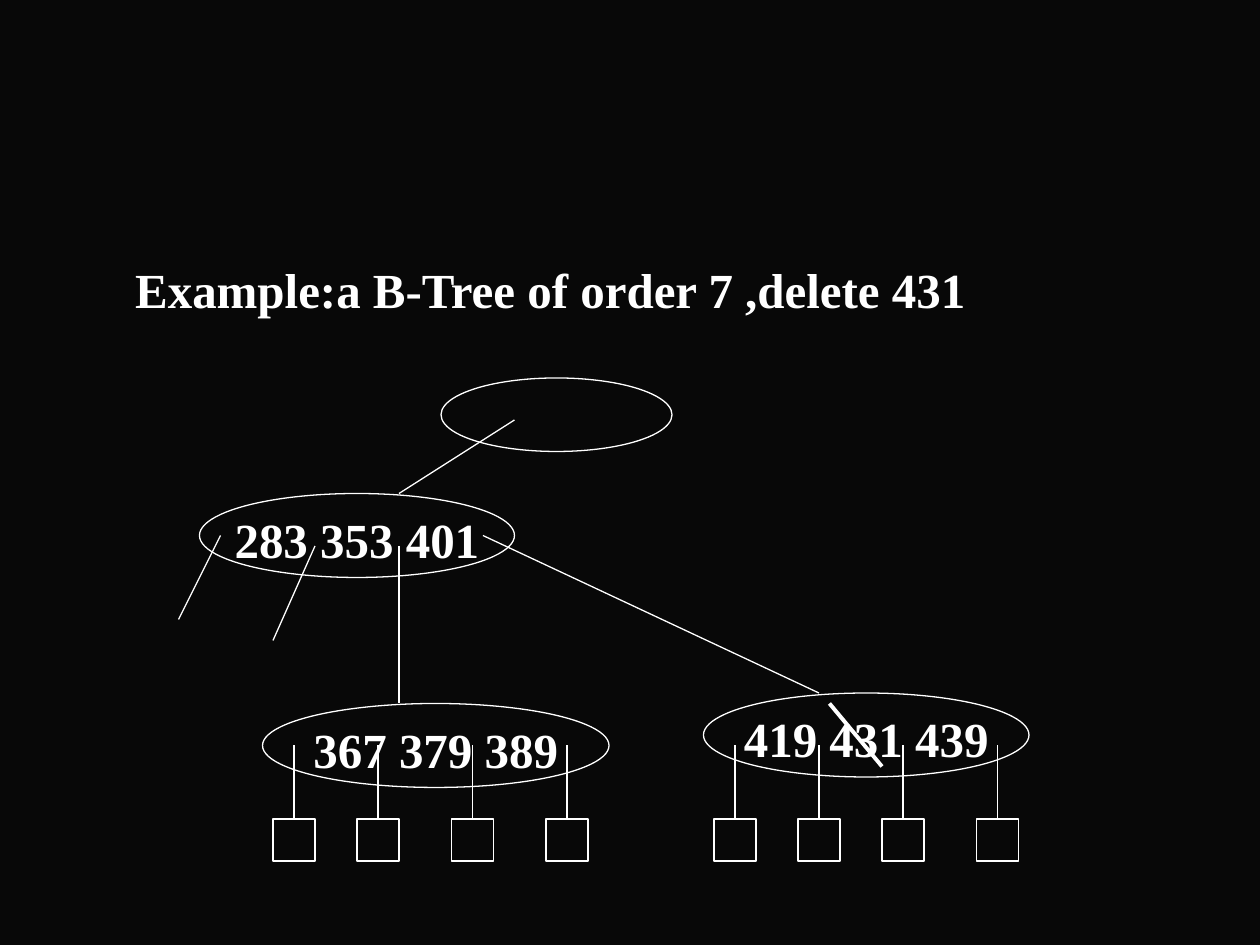
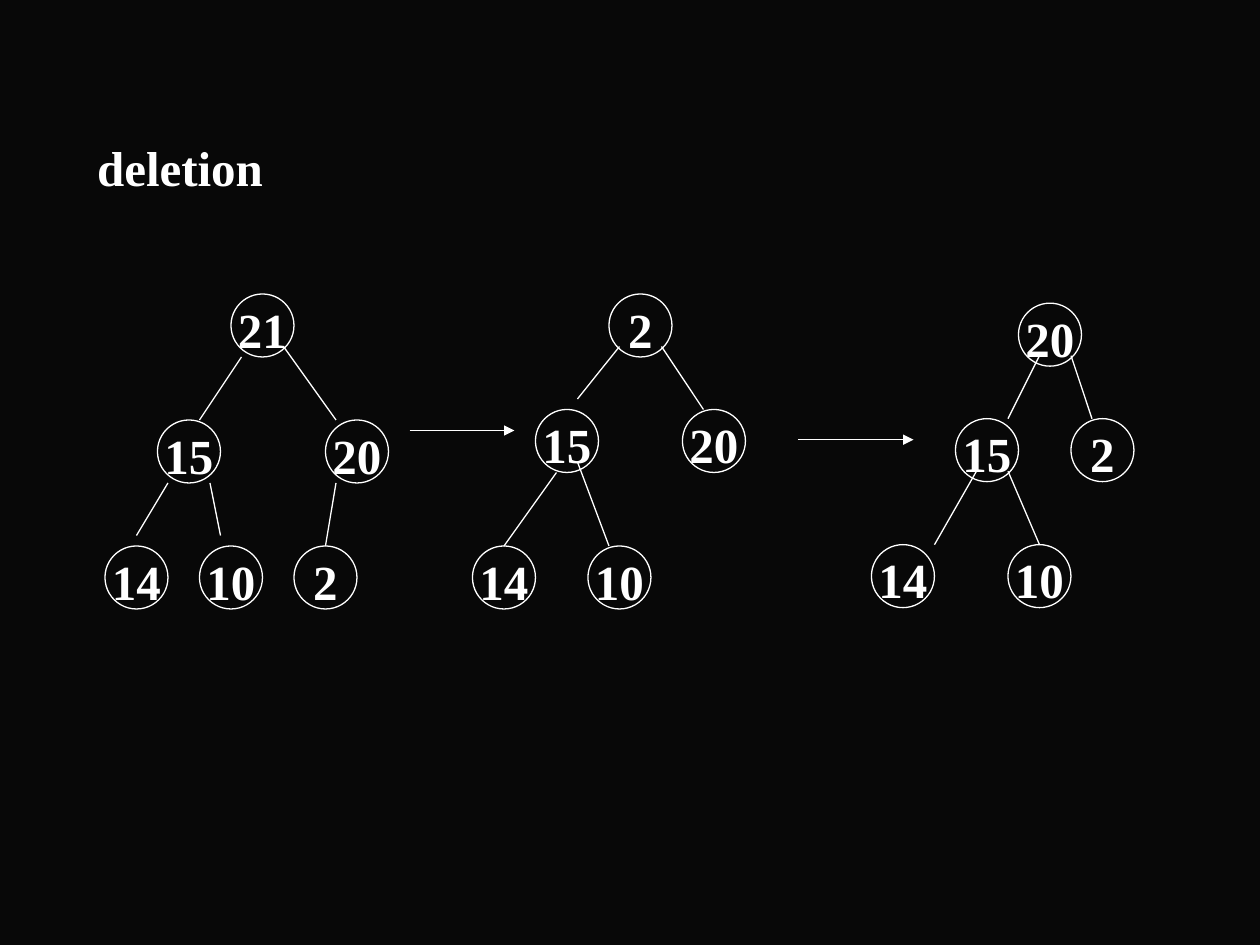
from dataclasses import dataclass

import pptx
import pptx.dml.color
import pptx.enum.shapes
import pptx.enum.text
import pptx.oxml
import pptx.oxml.ns
import pptx.util

PX = 9525
SHAPE = pptx.enum.shapes.MSO_SHAPE
ALIGN = pptx.enum.text.PP_ALIGN
ANCHOR = pptx.enum.text.MSO_ANCHOR


@dataclass(frozen=True)
class Theme:
    background = pptx.dml.color.RGBColor(0x08, 0x08, 0x08)
    ink = pptx.dml.color.RGBColor(0xFF, 0xFF, 0xFF)
    font = "Times New Roman"
    text_size = 28
    line_width = 0.75
    strike_width = 2.25


@dataclass(frozen=True)
class Box:
    left: int
    top: int
    width: int
    height: int

    def inner(self, left, top, width, height):
        return Box(self.left + left, self.top + top, width, height)

    def point(self, position):
        return self.left + position[0], self.top + position[1]

    def emu(self):
        return [length * PX for length in (self.left, self.top, self.width, self.height)]


THEME = Theme()


def write_text(shape, text, align=ALIGN.CENTER, anchor=ANCHOR.MIDDLE, wrap=False,
               inset_left=10, inset_top=10):
    frame = shape.text_frame
    frame.auto_size = pptx.enum.text.MSO_AUTO_SIZE.NONE
    frame.word_wrap = wrap
    frame.vertical_anchor = anchor
    frame.margin_left, frame.margin_right = inset_left * PX, 10 * PX
    frame.margin_top, frame.margin_bottom = inset_top * PX, 5 * PX
    paragraph = frame.paragraphs[0]
    paragraph.alignment = align
    run = paragraph.add_run()
    run.text = text
    run.font.name = THEME.font
    run.font.size = pptx.util.Pt(THEME.text_size)
    run.font.bold = True
    run.font.color.rgb = THEME.ink


def add_outline(shapes, kind, box, text=""):
    shape = shapes.add_shape(kind, *box.emu())
    shape.shadow.inherit = False
    shape.fill.background()
    shape.line.color.rgb = THEME.ink
    shape.line.width = pptx.util.Pt(THEME.line_width)
    if text:
        write_text(shape, text)
    return shape


def add_line(shapes, start, end, width=THEME.line_width, arrow=False):
    connector = shapes.add_connector(
        pptx.enum.shapes.MSO_CONNECTOR.STRAIGHT,
        *[length * PX for length in (*start, *end)])
    connector.line.color.rgb = THEME.ink
    connector.line.width = pptx.util.Pt(width)
    properties = connector._element.spPr
    if arrow:
        head = pptx.oxml.parse_xml(
            f'<a:tailEnd {pptx.oxml.ns.nsdecls("a")} type="triangle"/>')
        connector.line._get_or_add_ln().append(head)
    properties.append(pptx.oxml.parse_xml(
        f'<a:effectLst {pptx.oxml.ns.nsdecls("a")}/>'))
    return connector


def add_titled_slide(presentation, text, box, **text_format):
    slide = presentation.slides.add_slide(presentation.slide_layouts[5])
    title = slide.shapes.title
    title.left, title.top, title.width, title.height = box.emu()
    write_text(title, text, align=ALIGN.LEFT, anchor=ANCHOR.TOP, wrap=True, **text_format)
    return slide


def add_leaves(shapes, node, stem_top, leaf_top, centers, size=32):
    for center in centers:
        leaf = add_outline(shapes, SHAPE.RECTANGLE,
                           node.inner(center - size // 2, leaf_top, size, size))
        stem = add_line(shapes, node.point((center, stem_top)),
                        node.point((center, leaf_top)))
        stem.end_connect(leaf, 0)


def add_b_tree(slide, box):
    shapes = slide.shapes.add_group_shape().shapes
    left_child = box.inner(64, 248, 264, 64)
    right_child = box.inner(400, 240, 248, 64)
    nodes = [
        (box.inner(200, 0, 176, 56), ""),
        (box.inner(16, 88, 240, 64), "283 353 401"),
        (left_child, "367 379 389"),
        (right_child, "419 431 439"),
    ]
    branches = [
        ((256, 32), (168, 88)),
        ((32, 120), (0, 184)),
        ((104, 128), (72, 200)),
        ((168, 128), (168, 248)),
        ((232, 120), (488, 240)),
    ]
    for node, keys in nodes:
        add_outline(shapes, SHAPE.OVAL, node, keys)
    for start, end in branches:
        add_line(shapes, box.point(start), box.point(end))
    add_leaves(shapes, left_child, 32, 88, (24, 88, 160, 232))
    add_leaves(shapes, right_child, 40, 96, (24, 88, 152, 224))
    add_line(shapes, box.point((496, 248)), box.point((536, 296)),
             width=THEME.strike_width)


def add_heap(slide, box, nodes, edges, diameter=48):
    shapes = slide.shapes.add_group_shape().shapes
    for key, left, top in nodes:
        add_outline(shapes, SHAPE.OVAL, box.inner(left, top, diameter, diameter), key)
    for start, end in edges:
        add_line(shapes, box.point(start), box.point(end))


def build_b_tree_slide(presentation):
    slide = add_titled_slide(
        presentation, "Example:a B-Tree of order 7 ,delete 431",
        Box(72, 184, 816, 480), inset_left=31, inset_top=14)
    add_b_tree(slide, Box(136, 288, 648, 368))


def build_heap_slide(presentation):
    slide = add_titled_slide(presentation, "deletion", Box(64, 95, 816, 432))
    add_heap(
        slide, Box(80, 224, 216, 240),
        [("21", 96, 0), ("15", 40, 96), ("20", 168, 96),
         ("14", 0, 192), ("10", 72, 192), ("2", 144, 192)],
        [((104, 48), (72, 96)), ((136, 40), (176, 96)), ((48, 144), (24, 184)),
         ((80, 144), (88, 184)), ((176, 144), (168, 192))])
    add_heap(
        slide, Box(360, 224, 208, 240),
        [("2", 104, 0), ("15", 48, 88), ("20", 160, 88),
         ("14", 0, 192), ("10", 88, 192)],
        [((112, 40), (80, 80)), ((144, 40), (176, 88)),
         ((64, 136), (24, 192)), ((80, 128), (104, 192))])
    add_heap(
        slide, Box(664, 231, 200, 232),
        [("20", 112, 0), ("15", 64, 88), ("2", 152, 88),
         ("14", 0, 184), ("10", 104, 184)],
        [((128, 40), (104, 88)), ((152, 40), (168, 88)),
         ((80, 128), (48, 184)), ((104, 128), (128, 184))])
    for start, end in [((312, 328), (392, 328)), ((608, 335), (696, 335))]:
        add_line(slide.shapes, start, end, arrow=True)


def main():
    presentation = pptx.Presentation()
    presentation.slide_width = 960 * PX
    presentation.slide_height = 720 * PX
    background = presentation.slide_master.background.fill
    background.solid()
    background.fore_color.rgb = THEME.background
    build_b_tree_slide(presentation)
    build_heap_slide(presentation)
    presentation.save("out.pptx")


if __name__ == "__main__":
    main()
